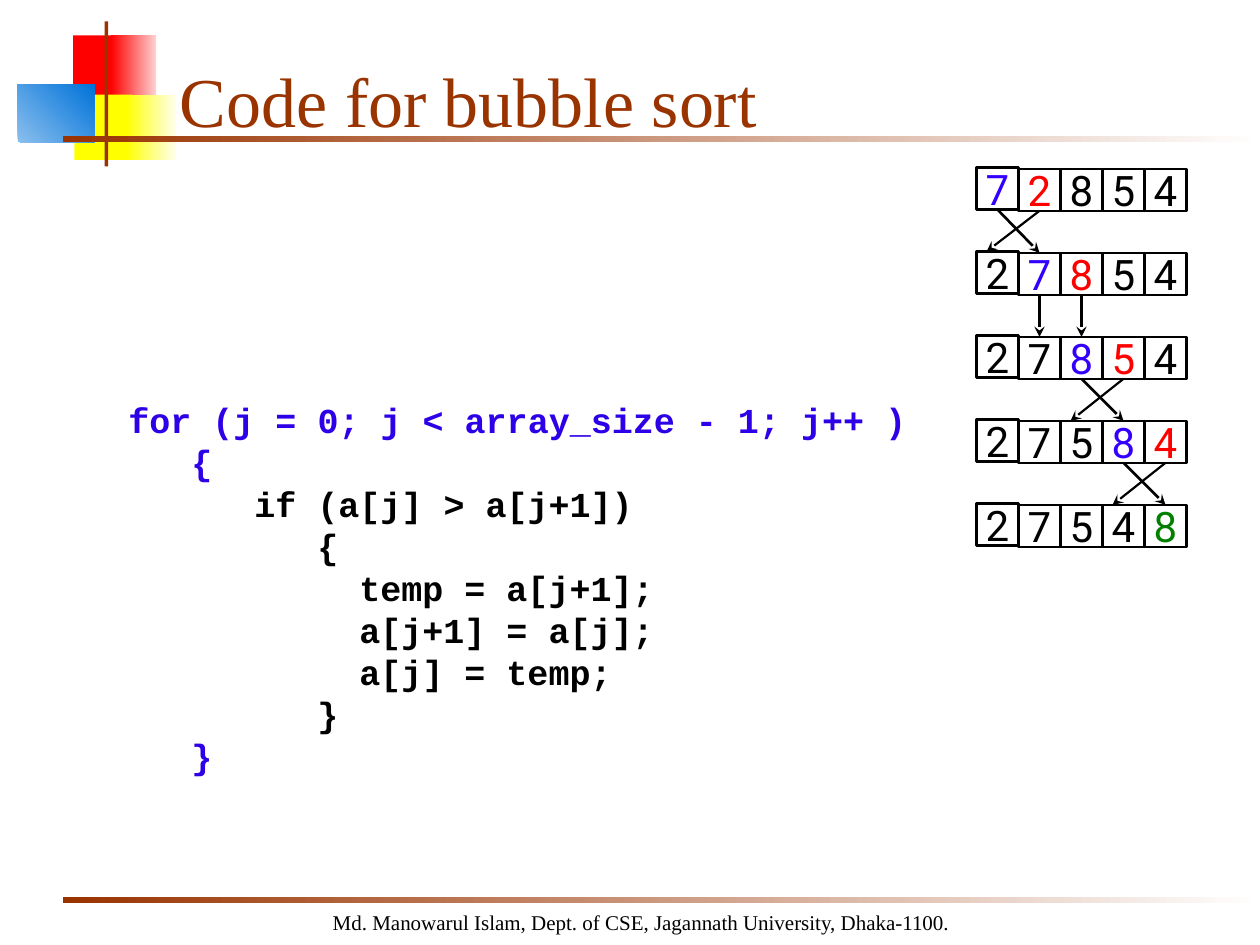
import pptx
import pptx.util
import pptx.dml.color
import pptx.enum.shapes
import pptx.enum.text
import pptx.oxml.ns
from lxml import etree

Inches, Pt = pptx.util.Inches, pptx.util.Pt
MSO_SHAPE = pptx.enum.shapes.MSO_SHAPE
PP_ALIGN = pptx.enum.text.PP_ALIGN
MSO_ANCHOR = pptx.enum.text.MSO_ANCHOR
qn = pptx.oxml.ns.qn

# Content
COLORS = {
    "black": "000000", "rust": "993300", "white": "FFFFFF", "red": "FF0000",
    "pink": "FFD1D1", "yellow": "FFFF00", "cream": "FFFFF0", "sky": "8BBFEE",
    "azure": "0073D9", "code blue": "2D00E7", "cell blue": "3300FF", "green": "007F00",
}
TITLE = "Code for bubble sort"
FOOTER = "Md. Manowarul Islam, Dept. of CSE, Jagannath University, Dhaka-1100."
CODE = [
    ("   for (j = 0; j < array_size - 1; j++ )", "code blue"),
    ("\t{", "code blue"),
    ("    \t   if (a[j] > a[j+1])", "black"),
    ("\t\t{", "black"),
    ("\t  \t  temp = a[j+1];", "black"),
    ("\t\t  a[j+1] = a[j];", "black"),
    ("\t\t  a[j] = temp;", "black"),
    ("\t\t}", "black"),
    ("\t}", "code blue"),
]
# Array after each pass, with the coloured columns
STATES = [
    ("72854", {0: "cell blue", 1: "red"}),
    ("27854", {1: "cell blue", 2: "red"}),
    ("27854", {2: "cell blue", 3: "red"}),
    ("27584", {3: "cell blue", 4: "red"}),
    ("27548", {4: "green"}),
]
# Left, top, width, height, colours from start to end, angle
DECORATIONS = [
    (0.58, 0.28, 0.35, 0.52, ["red"], 0),
    (0.88, 0.28, 0.36, 0.52, ["red", "pink"], 0),
    (0.59, 0.75, 0.46, 0.52, ["yellow"], 0),
    (1.00, 0.75, 0.40, 0.52, ["yellow", "cream"], 0),
    (0.14, 0.67, 0.61, 0.46, ["sky", "azure"], 45),
    (0.83, 0.17, 0.03, 1.15, ["rust"], 0),
    (0.50, 1.08, 9.50, 0.05, ["rust", "white"], 0),
    (0.50, 7.12, 9.50, 0.05, ["rust", "white"], 0),
]

# Grid of the array cells
GRID_LEFT, GRID_TOP = 7.75, 1.34
CELL = 1 / 3
ROW_STEP = 2 * CELL
FIRST_COLUMN_LIFT = 0.01
SWAP_OFFSET = 0.08

presentation = pptx.Presentation()
presentation.slide_width, presentation.slide_height = Inches(10), Inches(7.5)
slide = presentation.slides.add_slide(presentation.slide_layouts[6])


def rgb(name):
    return pptx.dml.color.RGBColor.from_string(COLORS[name])


def style(paragraph, font_name, size, color, bold=False):
    font = paragraph.runs[0].font
    font.name, font.size, font.bold = font_name, Pt(size), bold
    font.color.rgb = rgb(color)


def add_decoration(left, top, width, height, colors, angle):
    shape = slide.shapes.add_shape(
        MSO_SHAPE.RECTANGLE, Inches(left), Inches(top), Inches(width), Inches(height))
    shape.shadow.inherit = False
    shape.line.fill.background()
    if len(colors) == 1:
        shape.fill.solid()
        shape.fill.fore_color.rgb = rgb(colors[0])
    else:
        shape.fill.gradient()
        shape.fill.gradient_angle = angle
        for stop, color in zip(shape.fill.gradient_stops, colors):
            stop.color.rgb = rgb(color)


def add_text(left, top, width, height, text):
    box = slide.shapes.add_textbox(Inches(left), Inches(top), Inches(width), Inches(height))
    box.text_frame.word_wrap = True
    box.text_frame.text = text
    return box.text_frame


def add_cell(group, row, column, digit, color):
    top = GRID_TOP + row * ROW_STEP - (FIRST_COLUMN_LIFT if column == 0 else 0)
    cell = group.shapes.add_shape(
        MSO_SHAPE.FLOWCHART_PROCESS, Inches(GRID_LEFT + column * CELL), Inches(top),
        Inches(CELL), Inches(CELL))
    cell.shadow.inherit = False
    cell.fill.background()
    cell.line.color.rgb = rgb("black")
    cell.line.width = Pt(1.5)
    frame = cell.text_frame
    frame.word_wrap = False
    frame.vertical_anchor = MSO_ANCHOR.MIDDLE
    frame.text = digit
    frame.paragraphs[0].alignment = PP_ALIGN.CENTER
    style(frame.paragraphs[0], "Roboto", 24, color)
    return cell


def add_arrow(group, start, end, width, joined=True):
    arrow = group.shapes.add_connector(
        pptx.enum.shapes.MSO_CONNECTOR.STRAIGHT, start.left, start.top + start.height,
        end.left + Inches(SWAP_OFFSET), end.top)
    arrow.begin_connect(start, 2)
    if joined:
        arrow.end_connect(end, 0)
    arrow.line.color.rgb = rgb("black")
    arrow.line.width = Pt(width)
    etree.SubElement(arrow.line._get_or_add_ln(), qn("a:tailEnd"), type="stealth")
    etree.SubElement(arrow._element.spPr, qn("a:effectLst"))


# Corner ornament and rules
for decoration in DECORATIONS:
    add_decoration(*decoration)

# Footer and title
footer = add_text(0.38, 7.17, 9.42, 0.3, FOOTER)
footer.paragraphs[0].alignment = PP_ALIGN.CENTER
style(footer.paragraphs[0], "Times New Roman", 12, "black")
title = add_text(1.33, 0.25, 8.52, 0.92, TITLE)
title.vertical_anchor = MSO_ANCHOR.BOTTOM
style(title.paragraphs[0], "Times New Roman", 40, "rust")

# Code listing, with a tab stop at every inch
code = add_text(0.42, 3.11, 7.83, 3.1, "\n".join(line for line, _ in CODE))
for paragraph, (_, color) in zip(code.paragraphs, CODE):
    paragraph.line_spacing = Pt(24)
    tabs = etree.SubElement(paragraph._p.get_or_add_pPr(), qn("a:tabLst"))
    for inch in (1, 2):
        etree.SubElement(tabs, qn("a:tab"), pos=str(Inches(inch)), algn="l")
    style(paragraph, "Courier New", 20, color, bold=True)

# Array states, each joined to the one above by the compared pair
above = []
for row, (digits, highlights) in enumerate(STATES):
    group = slide.shapes.add_group_shape()
    cells = [add_cell(group, row, column, digit, highlights.get(column, "black"))
             for column, digit in enumerate(digits)]
    if above:
        left, right = row - 1, row
        if digits == STATES[row - 1][0]:
            add_arrow(group, above[left], cells[left], 1.25)
            add_arrow(group, above[right], cells[right], 1.25)
        else:
            add_arrow(group, above[left], cells[right], 1.5)
            add_arrow(group, above[right], cells[left], 1.25, joined=False)
    above = cells

presentation.save("out.pptx")
